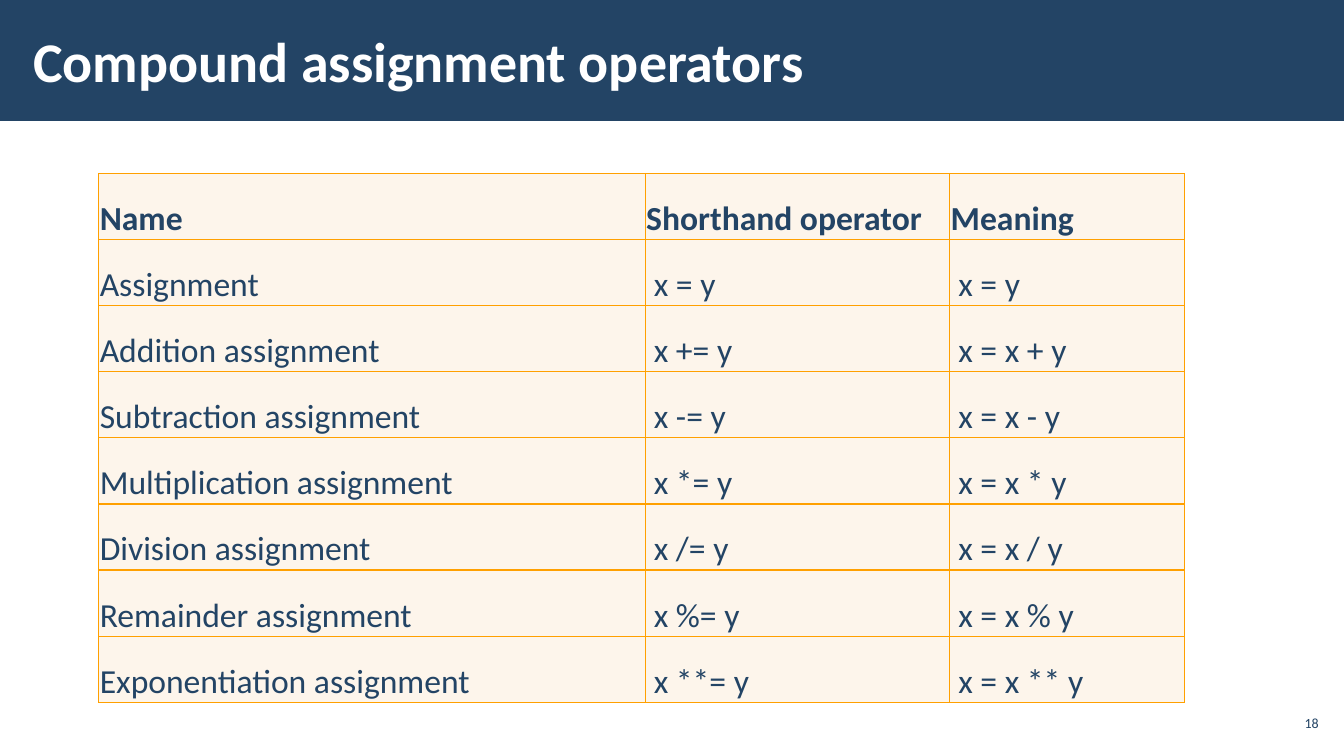
from lxml.etree import SubElement
from pptx import Presentation
from pptx.dml.color import RGBColor
from pptx.enum.shapes import MSO_SHAPE
from pptx.enum.text import MSO_ANCHOR, PP_ALIGN
from pptx.oxml.ns import qn
from pptx.util import Inches, Pt

NAVY = RGBColor(0x23, 0x44, 0x65)
WHITE = RGBColor(0xFF, 0xFF, 0xFF)
CREAM = RGBColor(0xFD, 0xF5, 0xEB)
AMBER = RGBColor(0xFF, 0xA0, 0x00)

HEADS = ("Name", "Shorthand operator", "Meaning")
# Operation name and its symbol
OPS = [
    ("Addition", "+"),
    ("Subtraction", "-"),
    ("Multiplication", "*"),
    ("Division", "/"),
    ("Remainder", "%"),
    ("Exponentiation", "**"),
]
WIDTHS = (5.42, 3.02, 2.33)
HEIGHT = 5.25


def put_text(frame, text, size=24, color=NAVY, bold=False, align=PP_ALIGN.LEFT):
    para = frame.paragraphs[0]
    para.alignment = align
    run = para.add_run()
    run.text = text
    font = run.font
    font.name = "Calibri"
    font.size = Pt(size)
    font.bold = bold
    font.color.rgb = color


def add_band(slide, width):
    band = slide.shapes.add_shape(MSO_SHAPE.RECTANGLE, 0, 0, width, Inches(1.2))
    band.shadow.inherit = False
    band.fill.solid()
    band.fill.fore_color.rgb = NAVY
    band.line.fill.background()


def add_label(slide, text, left, top, width, height, side, **style):
    box = slide.shapes.add_textbox(
        Inches(left), Inches(top), Inches(width), Inches(height))
    frame = box.text_frame
    frame.word_wrap = True
    frame.vertical_anchor = MSO_ANCHOR.MIDDLE
    frame.margin_left = frame.margin_right = Inches(side)
    frame.margin_top = frame.margin_bottom = Inches(0.04)
    put_text(frame, text, **style)


def add_border(cell):
    props = cell._tc.get_or_add_tcPr()
    for place, edge in enumerate(("a:lnL", "a:lnR", "a:lnT", "a:lnB")):
        line = props.makeelement(qn(edge), {"w": str(Pt(1))})
        fill = SubElement(line, qn("a:solidFill"))
        SubElement(fill, qn("a:srgbClr"), val=str(AMBER))
        props.insert(place, line)


def fill_cell(cell, text, bold):
    cell.fill.solid()
    cell.fill.fore_color.rgb = CREAM
    cell.vertical_anchor = MSO_ANCHOR.BOTTOM
    cell.margin_left = cell.margin_right = cell.margin_top = Inches(0.01)
    cell.margin_bottom = 0
    put_text(cell.text_frame, text, bold=bold)
    add_border(cell)


def add_grid(slide, rows):
    table = slide.shapes.add_table(
        len(rows), len(WIDTHS), Inches(0.98), Inches(1.72),
        Inches(sum(WIDTHS)), Inches(HEIGHT)).table
    for column, width in zip(table.columns, WIDTHS):
        column.width = Inches(width)
    for r, texts in enumerate(rows):
        table.rows[r].height = Inches(HEIGHT / len(rows))
        for c, text in enumerate(texts):
            fill_cell(table.cell(r, c), text, bold=r == 0)


def main():
    deck = Presentation()
    deck.slide_width = Inches(13.33)
    deck.slide_height = Inches(7.5)
    slide = deck.slides.add_slide(deck.slide_layouts[6])

    # Title band
    add_band(slide, deck.slide_width)
    add_label(slide, "Compound assignment operators", 0.21, 0.11, 10.39, 0.97,
              0.12, size=40, color=WHITE, bold=True)

    # Operator table
    rows = [HEADS, ("Assignment", " x = y", " x = y")]
    rows += [(f"{name} assignment", f" x {sign}= y", f" x = x {sign} y")
             for name, sign in OPS]
    add_grid(slide, rows)

    # Slide number
    add_label(slide, "18", 12.65, 7, 0.47, 0.34, 0.04,
              size=10, align=PP_ALIGN.RIGHT)

    deck.save("out.pptx")


if __name__ == "__main__":
    main()
